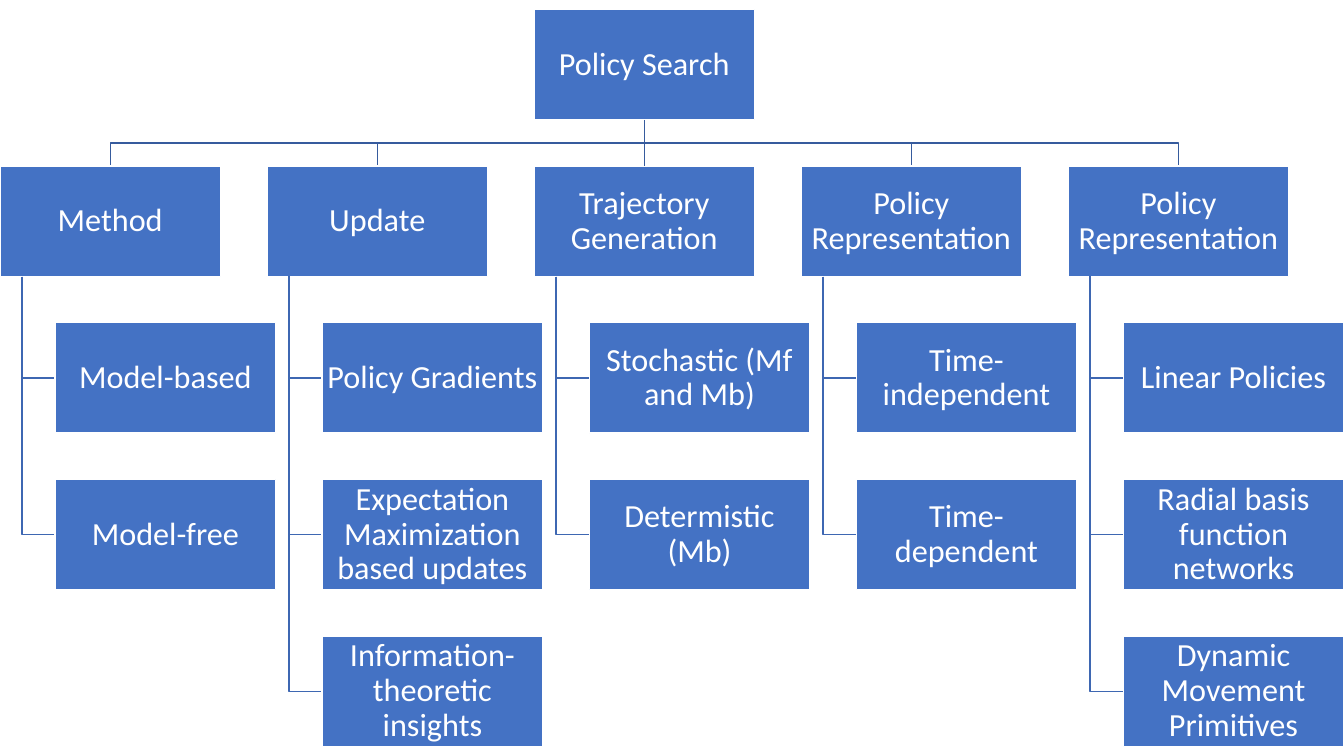
import pptx
import pptx.dml.color
import pptx.enum.shapes
import pptx.enum.text
import pptx.oxml
import pptx.util

SLIDE_W, SLIDE_H = 13.33, 7.5
FONT = "Calibri"
BOX_FILL, WHITE = "4472C4", "FFFFFF"
TRUNK_LINE, BRANCH_LINE = "365B9D", "3E67B2"

BRANCHES = [
    ("Method", ["Model-based", "Model-free"]),
    ("Update", ["Policy Gradients", "Expectation Maximization based updates",
                "Information-theoretic insights"]),
    ("Trajectory Generation", ["Stochastic (Mf and Mb)", "Determistic (Mb)"]),
    ("Policy Representation", ["Time-independent", "Time-dependent"]),
    ("Policy Representation", ["Linear Policies", "Radial basis function networks",
                               "Dynamic Movement Primitives"]),
]
MIDDLE = len(BRANCHES) // 2
LEVELS = 2 + max(len(leaves) for _, leaves in BRANCHES)

# Grid: gaps and indents are shares of a box width, boxes are twice as wide as high
GAP, INDENT, STEM = 0.21, 0.25, 0.1
BOX_W = SLIDE_W / (len(BRANCHES) + (len(BRANCHES) - 1) * GAP + INDENT)
BOX_H = BOX_W / 2
COL_STEP = BOX_W * (1 + GAP)
ROW_STEP = BOX_H + BOX_W * GAP
TOP = (SLIDE_H - (LEVELS - 1) * ROW_STEP - BOX_H) / 2


def inches(value):
    return pptx.util.Inches(value)


def color(hex_string):
    return pptx.dml.color.RGBColor.from_string(hex_string)


def set_line(shape, hex_string):
    shape.line.color.rgb = color(hex_string)
    shape.line.width = pptx.util.Pt(1)


def row_top(row):
    return TOP + row * ROW_STEP


def add_box(slide, left, top, label):
    box = slide.shapes.add_shape(pptx.enum.shapes.MSO_SHAPE.RECTANGLE, inches(left),
                                 inches(top), inches(BOX_W), inches(BOX_H))
    box.shadow.inherit = False
    box.fill.solid()
    box.fill.fore_color.rgb = color(BOX_FILL)
    set_line(box, WHITE)
    frame = box.text_frame
    frame.word_wrap = True
    frame.vertical_anchor = pptx.enum.text.MSO_ANCHOR.MIDDLE
    frame.margin_left = frame.margin_right = inches(0.02)
    frame.margin_top = frame.margin_bottom = inches(0.02)
    paragraph = frame.paragraphs[0]
    paragraph.alignment = pptx.enum.text.PP_ALIGN.CENTER
    paragraph.line_spacing = 0.9
    run = paragraph.add_run()
    run.text = label
    run.font.name = FONT
    run.font.size = pptx.util.Pt(23)
    run.font.color.rgb = color(WHITE)
    return box


def add_elbow(slide, points, hex_string):
    corners = [(inches(x), inches(y)) for x, y in points]
    builder = slide.shapes.build_freeform(*corners[0], scale=1.0)
    builder.add_line_segments(corners[1:], close=False)
    elbow = builder.convert_to_shape()
    elbow.shadow.inherit = False
    elbow.fill.background()
    set_line(elbow, hex_string)


def add_stem(slide, upper, lower):
    stem = slide.shapes.add_connector(pptx.enum.shapes.MSO_CONNECTOR.STRAIGHT, 0, 0, 0, 0)
    stem.begin_connect(upper, 2)
    stem.end_connect(lower, 0)
    set_line(stem, TRUNK_LINE)
    stem._element.spPr.append(pptx.oxml.parse_xml(
        '<a:effectLst xmlns:a="http://schemas.openxmlformats.org/drawingml/2006/main"/>'))


def add_trunk(slide, root_left, branch_left):
    """Line from the root's bottom over to the top of a branch heading."""
    start, end = root_left + BOX_W / 2, branch_left + BOX_W / 2
    bottom, heading_top = row_top(0) + BOX_H, row_top(1)
    middle = (bottom + heading_top) / 2
    add_elbow(slide, [(start, bottom), (start, middle), (end, middle), (end, heading_top)],
              TRUNK_LINE)


def add_branch(slide, left, heading, leaves):
    """Heading box with its indented leaves hanging below."""
    stem_x, leaf_left = left + STEM * BOX_W, left + INDENT * BOX_W
    heading_box = add_box(slide, left, row_top(1), heading)
    for row, leaf in enumerate(leaves, start=2):
        leaf_middle = row_top(row) + BOX_H / 2
        add_elbow(slide, [(stem_x, row_top(1) + BOX_H), (stem_x, leaf_middle),
                          (leaf_left, leaf_middle)], BRANCH_LINE)
        add_box(slide, leaf_left, row_top(row), leaf)
    return heading_box


def add_tree(slide):
    root_left = MIDDLE * COL_STEP
    # Trunk lines lie behind the boxes
    for column in range(len(BRANCHES)):
        if column != MIDDLE:
            add_trunk(slide, root_left, column * COL_STEP)
    root = add_box(slide, root_left, row_top(0), "Policy Search")
    headings = [add_branch(slide, column * COL_STEP, heading, leaves)
                for column, (heading, leaves) in enumerate(BRANCHES)]
    add_stem(slide, root, headings[MIDDLE])


def main():
    deck = pptx.Presentation()
    deck.slide_width, deck.slide_height = inches(SLIDE_W), inches(SLIDE_H)
    add_tree(deck.slides.add_slide(deck.slide_layouts[6]))
    deck.save("out.pptx")


if __name__ == "__main__":
    main()
